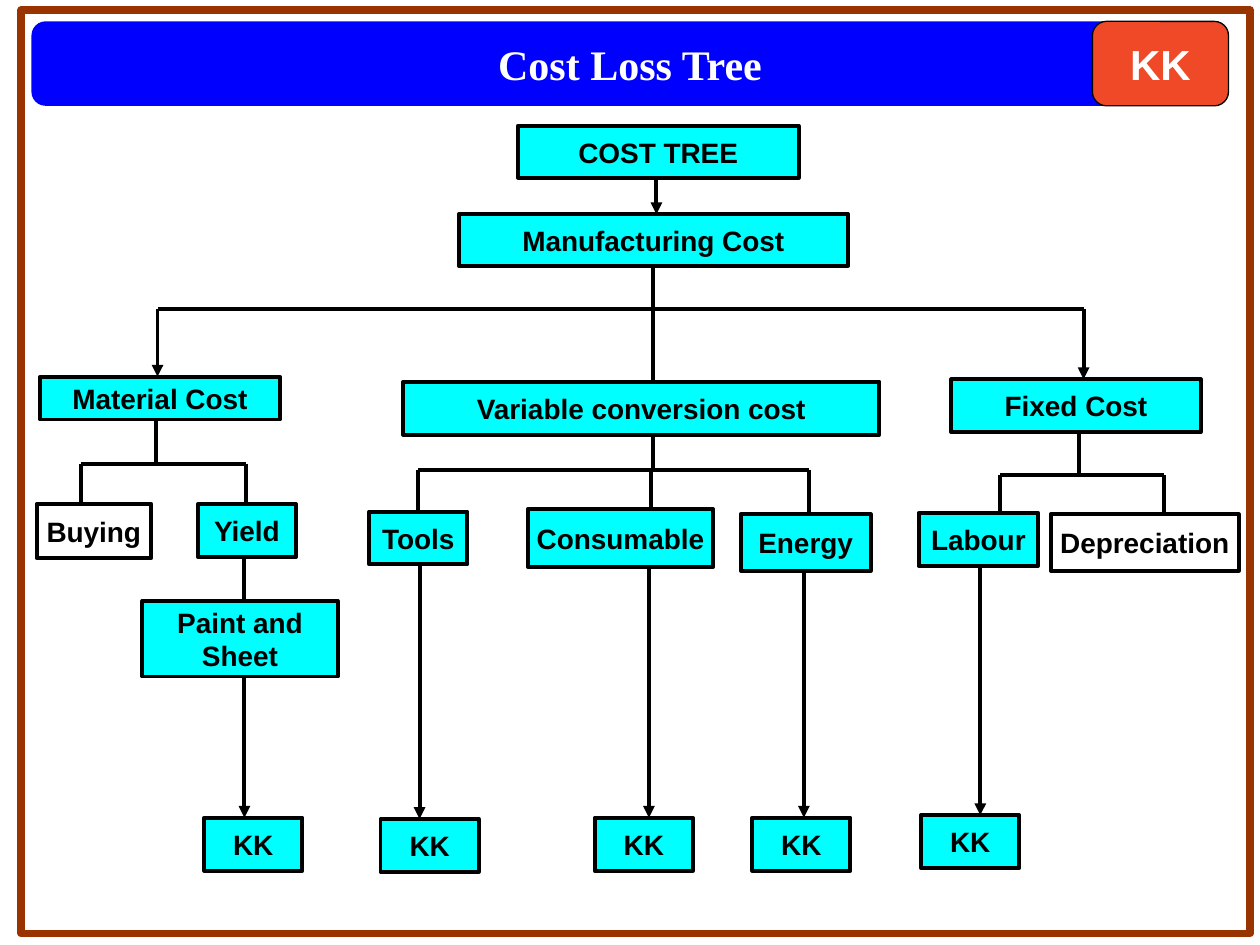
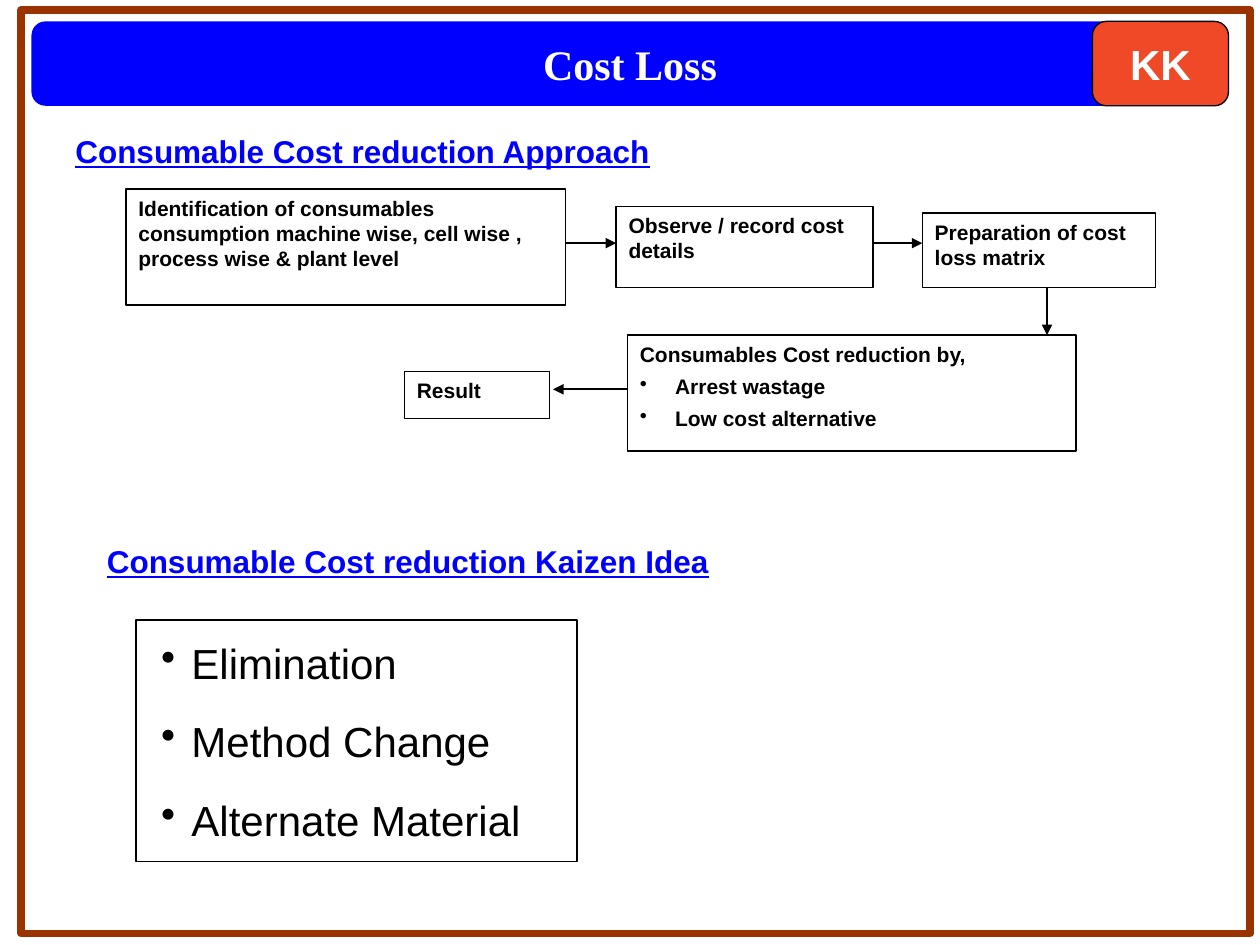
from lxml import etree
from pptx import Presentation
from pptx import util as u
from pptx.dml.color import RGBColor
from pptx.enum import shapes, text
from pptx.oxml import ns

WIDTH, HEIGHT = 10, 7.5
BLACK, WHITE, BLUE = "000000", "FFFFFF", "0000FF"
CYAN, ORANGE, BROWN = "00FFFF", "F04928", "993300"
SANS, SERIF = "Arial", "Times New Roman"

# Places shared by both slides: left, top, width, height
BAND = (0.25, 0.17, 9.5, 0.67)
FRAME = (0.17, 0.08, 9.75, 7.33)
BADGE = (8.67, 0.17, 1.08, 0.67)

# Slide 1
COSTS = {
    "COST TREE": (4.11, 1, 2.23, 0.41),
    "Manufacturing Cost": (3.64, 1.7, 3.09, 0.41),
    "Material Cost": (0.32, 2.99, 1.9, 0.34),
    "Variable conversion cost": (3.2, 3.03, 3.78, 0.42),
    "Fixed Cost": (7.55, 3.01, 1.98, 0.42),
    "Buying": (0.29, 4, 0.91, 0.43),
    "Yield": (1.57, 4, 0.78, 0.42),
    "Tools": (2.93, 4.06, 0.78, 0.42),
    "Consumable": (4.19, 4.04, 1.47, 0.46),
    "Energy": (5.88, 4.08, 1.03, 0.45),
    "Labour": (7.29, 4.07, 0.95, 0.42),
    "Depreciation": (8.34, 4.08, 1.49, 0.45),
    "Paint and\nSheet": (1.13, 4.77, 1.55, 0.6),
}
UNFILLED = {"Buying", "Depreciation"}
ARROWED = {"Material Cost", "Fixed Cost"}
# Parent, trunk x, height of the crossbar, x of the drop to each child
BRANCHES = [
    ("Manufacturing Cost", 5.18, 2.45,
     {"Material Cost": 1.25, "Variable conversion cost": 5.18, "Fixed Cost": 8.6}),
    ("Material Cost", 1.24, 3.68, {"Buying": 0.64, "Yield": 1.95}),
    ("Variable conversion cost", 5.18, 3.73,
     {"Tools": 3.32, "Consumable": 5.17, "Energy": 6.42}),
    ("Fixed Cost", 8.56, 3.77, {"Labour": 7.94, "Depreciation": 9.24}),
]
# Cost, x of its arrow, left and top of the KK box
PILLARS = [
    ("Paint and\nSheet", 1.94, 1.62, 6.49),
    ("Tools", 3.33, 3.02, 6.5),
    ("Consumable", 5.15, 4.72, 6.49),
    ("Energy", 6.38, 5.97, 6.49),
    ("Labour", 7.78, 7.31, 6.47),
]
PILLAR_SIZE = (0.78, 0.42)

# Slide 2
HEADINGS = [
    ("Consumable Cost reduction Approach", (0.5, 1, 6.33, 0.4)),
    ("Consumable Cost reduction Kaizen Idea", (0.75, 4.25, 6.33, 0.4)),
]
STEPS = [
    ("Identification of consumables consumption machine wise, cell wise , "
     "process wise & plant level", (1, 1.5, 3.49, 0.92)),
    ("Observe / record cost details", (4.89, 1.64, 2.04, 0.64)),
    ("Preparation of cost loss matrix", (7.32, 1.69, 1.85, 0.59)),
    ("Consumables Cost reduction by,\n• Arrest wastage\n• Low cost alternative",
     (4.98, 2.66, 3.56, 0.92)),
    ("Result", (3.21, 2.95, 1.15, 0.37)),
]
STEP_ARROWS = [
    (4.49, 1.93, 4.89, 1.93),
    (6.93, 1.93, 7.32, 1.93),
    (8.31, 2.28, 8.31, 2.66),
    (4.98, 3.09, 4.39, 3.09),
]
IDEAS = ("• Elimination\n• Method Change\n• Alternate Material", (1.08, 4.92, 3.5, 1.92))


def rgb(value):
    return RGBColor.from_string(value)


def inches(values):
    return [u.Inches(value) for value in values]


def add_bullet(paragraph, indent):
    props = paragraph._p.get_or_add_pPr()
    props.set("marL", str(u.Inches(indent)))
    props.set("indent", str(-u.Inches(indent)))
    etree.SubElement(props, ns.qn("a:buChar")).set("char", "•")


def write(shape, wording, size=16, font=SANS, color=BLACK, bold=True, underline=False,
          align="CENTER", anchor="MIDDLE", wrap=False, before=0, indent=0.28,
          margins=(0.1, 0.1)):
    """Fill a shape with one paragraph a line; a line that starts with • is bulleted."""
    frame = shape.text_frame
    frame.word_wrap = wrap
    frame.auto_size = text.MSO_AUTO_SIZE.NONE
    frame.vertical_anchor = text.MSO_ANCHOR[anchor]
    frame.margin_left, frame.margin_right = inches(margins)
    frame.margin_top = frame.margin_bottom = u.Inches(0.05)
    for number, line in enumerate(wording.split("\n")):
        paragraph = frame.add_paragraph() if number else frame.paragraphs[0]
        if line.startswith("•"):
            add_bullet(paragraph, indent)
        paragraph.alignment = text.PP_ALIGN[align]
        if number and before:
            paragraph.space_before = u.Pt(before)
        run = paragraph.add_run()
        run.text = line.removeprefix("• ")
        run.font.size, run.font.name = u.Pt(size), font
        run.font.bold, run.font.underline = bold, underline
        run.font.color.rgb = rgb(color)


def add_box(slide, place, fill=None, line=None, weight=0.75, kind="RECTANGLE"):
    box = slide.shapes.add_shape(shapes.MSO_SHAPE[kind], *inches(place))
    box.shadow.inherit = False
    if fill:
        box.fill.solid()
        box.fill.fore_color.rgb = rgb(fill)
    else:
        box.fill.background()
    if line:
        box.line.color.rgb = rgb(line)
        box.line.width = u.Pt(weight)
    else:
        box.line.fill.background()
    return box


def add_line(slide, x1, y1, x2, y2, weight=2.25, arrow=False):
    line = slide.shapes.add_connector(shapes.MSO_CONNECTOR.STRAIGHT, *inches((x1, y1, x2, y2)))
    line.line.color.rgb = rgb(BLACK)
    line.line.width = u.Pt(weight)
    if arrow:
        etree.SubElement(line.line._get_or_add_ln(), ns.qn("a:tailEnd")).set("type", "triangle")
    etree.SubElement(line._element.spPr, ns.qn("a:effectLst"))


def add_titled_slide(deck, wording):
    slide = deck.slides.add_slide(deck.slide_layouts[5])
    add_box(slide, BAND, fill=BLUE, kind="ROUNDED_RECTANGLE")
    title = slide.shapes.title
    title.left, title.top, title.width, title.height = inches(BAND)
    write(title, wording, size=24, font=SERIF, color=WHITE, wrap=True)
    slide.shapes._spTree.append(title._element)  # bring the title in front of its band
    add_box(slide, FRAME, line=BROWN, weight=4.5)
    badge = add_box(slide, BADGE, fill=ORANGE, line=BLACK, kind="ROUNDED_RECTANGLE")
    write(badge, "KK", size=24, color=WHITE)
    return slide


def top(cost):
    return COSTS[cost][1]


def bottom(cost):
    return COSTS[cost][1] + COSTS[cost][3]


def build_cost_tree(deck):
    slide = add_titled_slide(deck, "Cost Loss Tree")
    add_line(slide, 5.21, bottom("COST TREE"), 5.21, top("Manufacturing Cost"), arrow=True)
    add_line(slide, 1.94, bottom("Yield"), 1.94, top("Paint and\nSheet"))
    for parent, trunk, bar, drops in BRANCHES:
        add_line(slide, trunk, bottom(parent), trunk, bar)
        add_line(slide, min(drops.values()), bar, max(drops.values()), bar)
        for child, x in drops.items():
            add_line(slide, x, bar, x, top(child), arrow=child in ARROWED)
    for cost, place in COSTS.items():
        fill = None if cost in UNFILLED else CYAN
        write(add_box(slide, place, fill=fill, line=BLACK, weight=2.25), cost)
    for cost, x, left, pillar_top in PILLARS:
        add_line(slide, x, bottom(cost), x, pillar_top, arrow=True)
        pillar = add_box(slide, (left, pillar_top, *PILLAR_SIZE), CYAN, BLACK, 2.25)
        write(pillar, "KK")


def build_cost_reduction(deck):
    slide = add_titled_slide(deck, "Cost Loss")
    for wording, place in HEADINGS:
        write(slide.shapes.add_textbox(*inches(place)), wording, size=18, color=BLUE,
              underline=True, align="LEFT", anchor="TOP", wrap=True)
    for wording, place in STEPS:
        write(add_box(slide, place, line=BLACK), wording, size=12, align="LEFT",
              anchor="TOP", wrap=True, before=4)
    for ends in STEP_ARROWS:
        add_line(slide, *ends, weight=1.25, arrow=True)
    wording, place = IDEAS
    write(add_box(slide, place, line=BLACK), wording, size=24, bold=False, align="LEFT",
          wrap=True, before=16, indent=0.24, margins=(0.2, 0.25))


def main():
    deck = Presentation()
    deck.slide_width, deck.slide_height = inches((WIDTH, HEIGHT))
    build_cost_tree(deck)
    build_cost_reduction(deck)
    deck.save("out.pptx")


if __name__ == "__main__":
    main()
